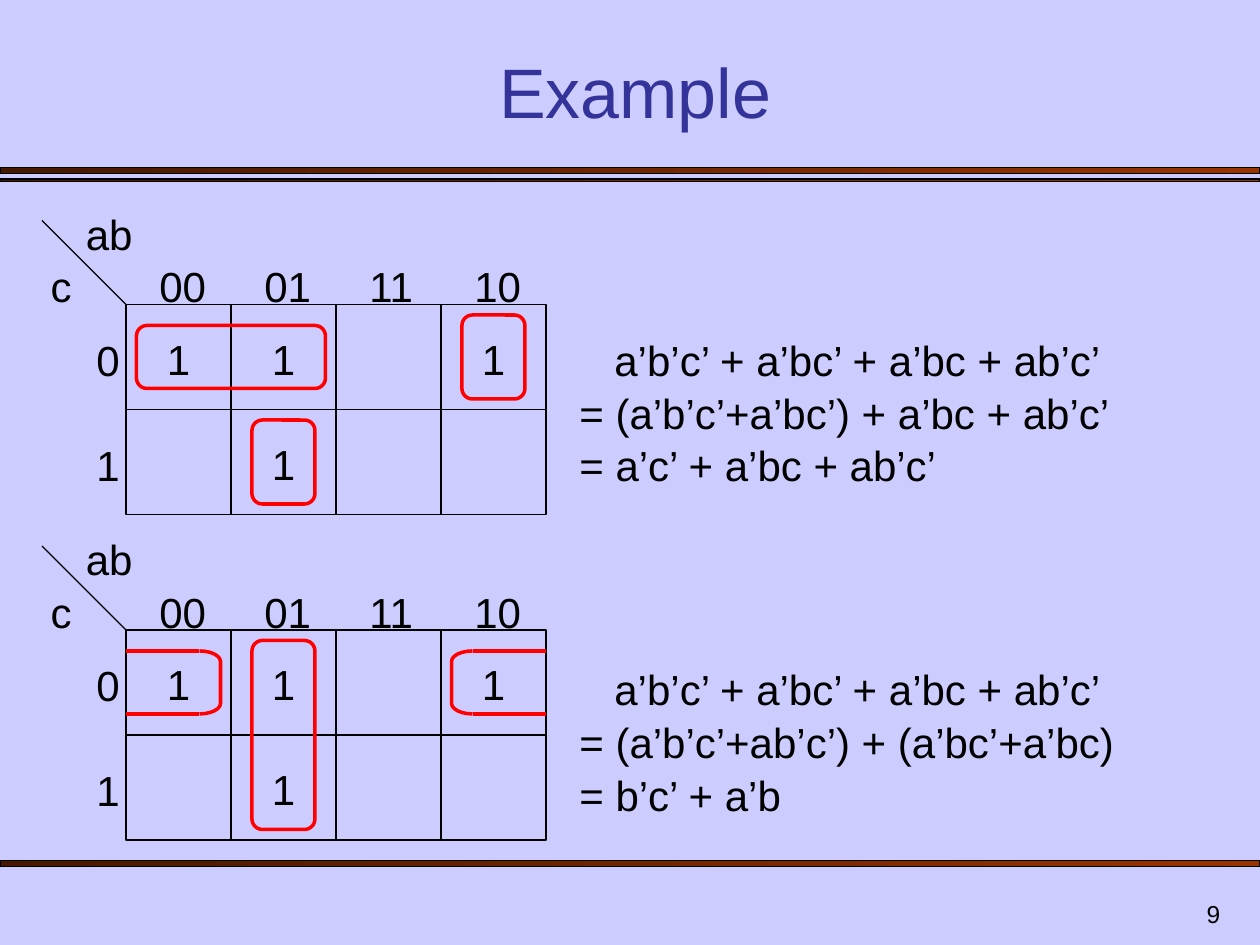
from lxml import etree
from pptx import Presentation
from pptx.dml.color import RGBColor
from pptx.enum.shapes import MSO_CONNECTOR, MSO_SHAPE
from pptx.enum.text import MSO_ANCHOR, PP_ALIGN
from pptx.oxml.ns import qn
from pptx.util import Pt

LEFT, CENTER, RIGHT = PP_ALIGN.LEFT, PP_ALIGN.CENTER, PP_ALIGN.RIGHT
TOP, MIDDLE, BOTTOM = MSO_ANCHOR.TOP, MSO_ANCHOR.MIDDLE, MSO_ANCHOR.BOTTOM
RECTANGLE, ROUNDED = MSO_SHAPE.RECTANGLE, MSO_SHAPE.ROUNDED_RECTANGLE
LEFT_BRACKET, RIGHT_BRACKET = MSO_SHAPE.LEFT_BRACKET, MSO_SHAPE.RIGHT_BRACKET
STRAIGHT = MSO_CONNECTOR.STRAIGHT

COLORS = {"page": "CCCCFF", "title": "333399", "ink": "000000", "group": "FF0000",
          "bar_dark": "471800", "bar_light": "993300"}
FONT = "Arial"
CELL = 60
GRID_LEFT = 72

deck = Presentation()
deck.slide_width, deck.slide_height = Pt(720), Pt(540)
page = deck.slides.add_slide(deck.slide_layouts[6])
page.background.fill.solid()
page.background.fill.fore_color.rgb = RGBColor.from_string(COLORS["page"])


def write(text, left, top, width, height, size=24, color="ink", align=LEFT,
          anchor=TOP, spacing=1.05, indent=0, shape=None):
    box = shape or page.shapes.add_textbox(Pt(left), Pt(top), Pt(width), Pt(height))
    frame = box.text_frame
    frame.word_wrap = True
    frame.vertical_anchor = anchor
    para = frame.paragraphs[0]
    para.text = text
    para.alignment = align
    para.line_spacing = spacing
    if indent:
        para._p.get_or_add_pPr().set("indent", str(Pt(indent)))
    for span in para.runs:
        span.font.name = FONT
        span.font.size = Pt(size)
        span.font.color.rgb = RGBColor.from_string(COLORS[color])


def draw(kind, left, top, width, height, color="ink", weight=0.75):
    if isinstance(kind, MSO_CONNECTOR):
        shape = page.shapes.add_connector(
            kind, Pt(left), Pt(top), Pt(left + width), Pt(top + height))
        etree.SubElement(shape._element.spPr, qn("a:effectLst"))
    else:
        shape = page.shapes.add_shape(kind, Pt(left), Pt(top), Pt(width), Pt(height))
        shape.shadow.inherit = False
        shape.fill.background()
    shape.line.color.rgb = RGBColor.from_string(COLORS[color])
    shape.line.width = Pt(weight)
    return shape


for top, height in [(95.75, 3.6), (102.25, 1.44), (491.75, 3.6)]:
    bar = draw(RECTANGLE, 0, top, 720, height)
    bar.fill.gradient()
    bar.fill.gradient_angle = 0
    for stop, name in zip(bar.fill.gradient_stops, ["bar_dark", "bar_light"]):
        stop.color.rgb = RGBColor.from_string(COLORS[name])

write("9", 554.4, 504, 150, 30, size=14, align=RIGHT, anchor=BOTTOM, spacing=1)
write("Example", 42, 30, 642, 49, size=40, color="title", align=CENTER,
      anchor=BOTTOM, spacing=1)

ones = {(0, 0), (0, 1), (0, 3), (1, 1)}
maps = [
    {"top": 174, "loops": [(144, 66, 36, 48), (78, 12, 108, 36), (264, 6, 36, 48)],
     "brackets": [], "equation_top": 186,
     "equation": ["a’b’c’ + a’bc’ + a’bc + ab’c’",
                  "= (a’b’c’+a’bc’) + a’bc + ab’c’",
                  "= a’c’ + a’bc + ab’c’"]},
    {"top": 360, "loops": [(144, 6, 36, 108)],
     "brackets": [(LEFT_BRACKET, 258, 270), (RIGHT_BRACKET, 114, 72)],
     "equation_top": 374.4,
     "equation": ["a’b’c’ + a’bc’ + a’bc + ab’c’",
                  "= (a’b’c’+ab’c’) + (a’bc’+a’bc)",
                  "= b’c’ + a’b"]},
]

for karnaugh in maps:
    top = karnaugh["top"]
    draw(STRAIGHT, 24, top - 48, 48, 48)
    write("ab", 42, top - 60, 48, 36)
    write("c", 12, top - 30, 36, 36, align=RIGHT)
    for column, label in enumerate(["00", "01", "11", "10"]):
        write(label, 84 + column * CELL, top - 30, 43, 36)
    for row, label in enumerate(["0", "1"]):
        write(label, 48, top + 12 + row * CELL, 31, 36)
        for column in range(4):
            place = (GRID_LEFT + column * CELL, top + row * CELL, CELL, CELL)
            cell = draw(RECTANGLE, *place)
            if (row, column) in ones:
                write("1", *place, align=CENTER, anchor=MIDDLE, shape=cell)
    for left, offset, width, height in karnaugh["loops"]:
        draw(ROUNDED, left, top + offset, width, height, color="group", weight=2)
    for kind, left, line_left in karnaugh["brackets"]:
        bracket = draw(kind, left, top + 12, 12, 36, color="group", weight=2)
        bracket.adjustments[0] = 0.5
        for offset in (12, 48):
            draw(STRAIGHT, line_left, top + offset, 42, 0, color="group", weight=2)
    write("\v".join(karnaugh["equation"]), 324, karnaugh["equation_top"], 378, 93.6,
          indent=20)

deck.save("out.pptx")
